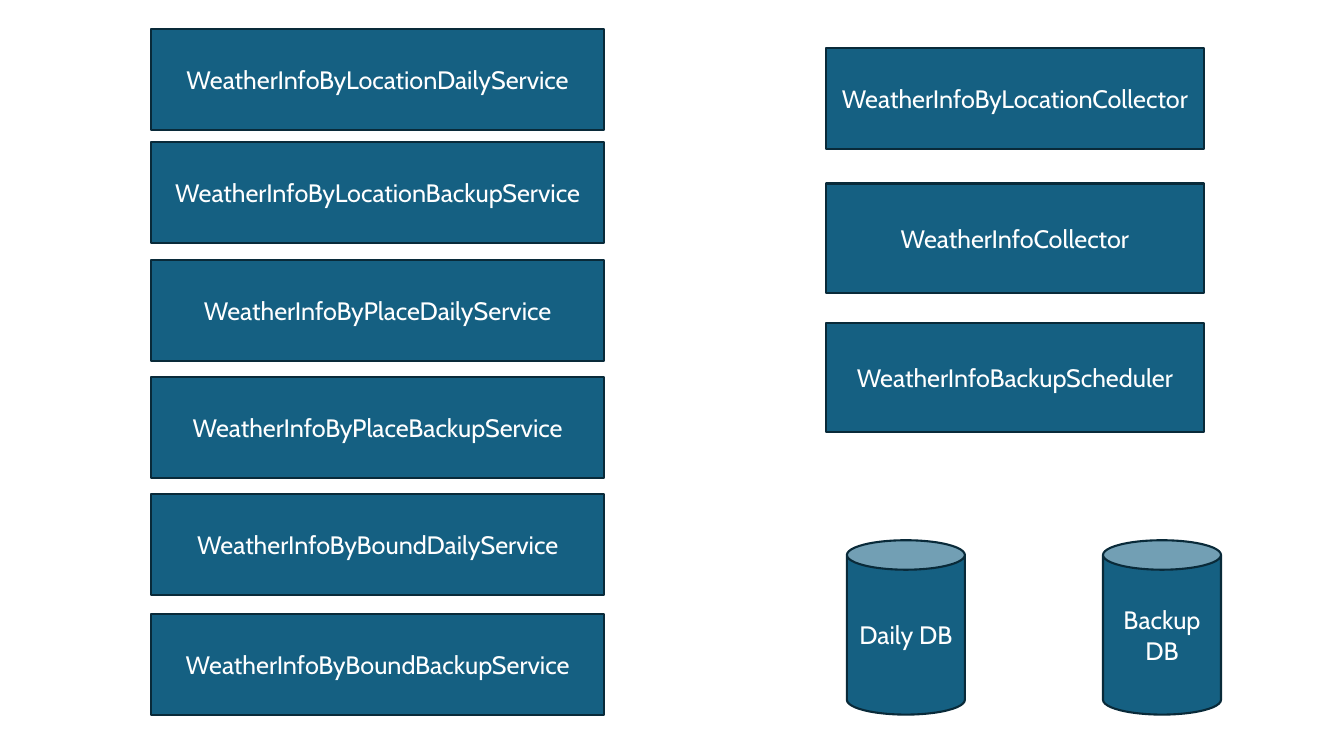
from pptx import Presentation
from pptx.dml.color import RGBColor as RGB
from pptx.enum.shapes import MSO_SHAPE as Kind
from pptx.enum.text import MSO_ANCHOR as Anchor, PP_ALIGN as Align
from pptx.util import Inches, Pt

HUES = {"fill": "156082", "edge": "092A39", "text": "FFFFFF"}

deck = Presentation()
deck.slide_width, deck.slide_height = Inches(13.33), Inches(7.5)
slide = deck.slides.add_slide(deck.slide_layouts[6])


def add_node(kind, label, *box):
    """Draw a labelled shape; box is left, top, width, height in inches."""
    node = slide.shapes.add_shape(kind, *map(Inches, box))
    node.shadow.inherit = False
    node.fill.solid()
    node.fill.fore_color.rgb = RGB.from_string(HUES["fill"])
    node.line.color.rgb = RGB.from_string(HUES["edge"])
    node.line.width = Pt(1.5)
    frame = node.text_frame
    frame.word_wrap = True
    frame.vertical_anchor = Anchor.MIDDLE
    para = frame.paragraphs[0]
    para.alignment = Align.CENTER
    run = para.add_run()
    run.text = label
    run.font.name = "Cabin"
    run.font.size = Pt(18)
    run.font.color.rgb = RGB.from_string(HUES["text"])


# Services: a daily and a backup one for each kind of query
tops = iter([0.29, 1.41, 2.58, 3.74, 4.9, 6.09])
for query in ("Location", "Place", "Bound"):
    for role in ("Daily", "Backup"):
        name = f"WeatherInfoBy{query}{role}Service"
        add_node(Kind.RECTANGLE, name, 1.5, next(tops), 4.49, 1)

# Collectors and scheduler
for name, top, height in [
    ("WeatherInfoByLocationCollector", 0.48, 1),
    ("WeatherInfoCollector", 1.82, 1.09),
    ("WeatherInfoBackupScheduler", 3.2, 1.09),
]:
    add_node(Kind.RECTANGLE, name, 8.19, top, 3.75, height)

# Databases
for name, left in [("Daily DB", 8.4), ("Backup DB", 10.94)]:
    add_node(Kind.CAN, name, left, 5.36, 1.17, 1.73)

deck.save("out.pptx")
